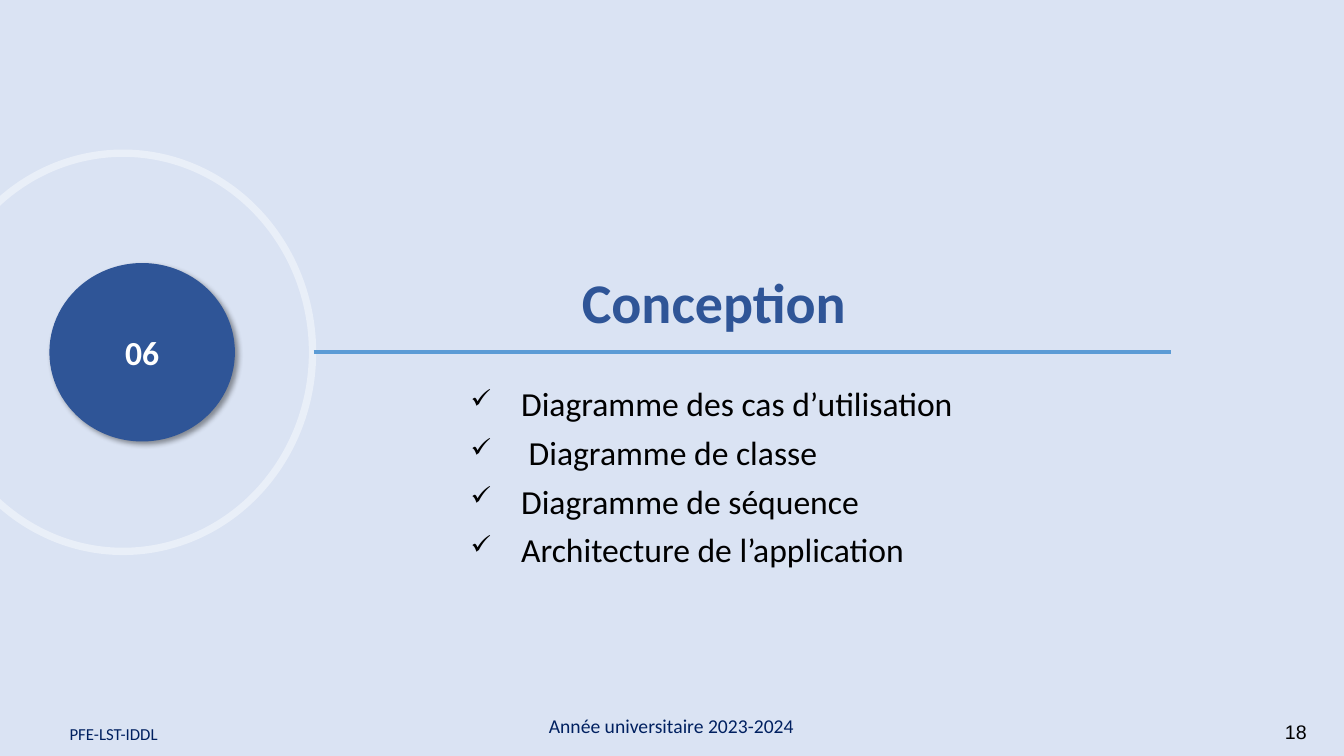
from dataclasses import dataclass

from lxml import etree
from pptx import Presentation
from pptx.dml.color import RGBColor
from pptx.enum.shapes import MSO_CONNECTOR, MSO_SHAPE
from pptx.enum.text import MSO_ANCHOR, PP_ALIGN
from pptx.oxml import parse_xml
from pptx.oxml.ns import nsdecls, qn
from pptx.util import Inches, Pt

OVAL, RECT = MSO_SHAPE.OVAL, MSO_SHAPE.RECTANGLE
TOP, MIDDLE = MSO_ANCHOR.TOP, MSO_ANCHOR.MIDDLE
LEFT, CENTER, RIGHT = PP_ALIGN.LEFT, PP_ALIGN.CENTER, PP_ALIGN.RIGHT
JUSTIFY = PP_ALIGN.JUSTIFY


@dataclass(frozen=True)
class Theme:
    background: RGBColor = RGBColor(0xDA, 0xE3, 0xF3)
    primary: RGBColor = RGBColor(0x2F, 0x55, 0x97)
    rule: RGBColor = RGBColor(0x5B, 0x9B, 0xD5)
    ring: RGBColor = RGBColor(0xE9, 0xEF, 0xF8)
    footer: RGBColor = RGBColor(0x00, 0x20, 0x60)
    black: RGBColor = RGBColor(0, 0, 0)
    white: RGBColor = RGBColor(0xFF, 0xFF, 0xFF)
    font: str = "Calibri"
    number_font: str = "Arial"
    title_size: int = 40
    body_size: int = 24
    footer_size: int = 14
    label_size: int = 12


theme = Theme()


def write(p, text, size, color, align=LEFT, bold=False, font=theme.font):
    """Add one formatted run to a paragraph."""
    p.alignment = align
    r = p.add_run()
    r.text = text
    r.font.name = font
    r.font.size = Pt(size)
    r.font.bold = bold
    r.font.color.rgb = color


def add_text_frame(left, top, width, height, anchor=TOP):
    tf = s.shapes.add_textbox(
        Inches(left), Inches(top), Inches(width), Inches(height)).text_frame
    tf.word_wrap = True
    tf.vertical_anchor = anchor
    return tf


prs = Presentation()
prs.slide_width, prs.slide_height = Inches(13.33), Inches(7.5)
s = prs.slides.add_slide(prs.slide_layouts[5])
s.background.fill.solid()
s.background.fill.fore_color.rgb = theme.background

# Section number
disc = s.shapes.add_shape(OVAL, Inches(0.49), Inches(2.61), Inches(1.84), Inches(1.77))
disc.fill.solid()
disc.fill.fore_color.rgb = theme.primary
disc.line.fill.background()
disc._element.spPr.append(parse_xml(
    f'<a:effectLst {nsdecls("a")}>'
    '<a:outerShdw blurRad="50800" dist="38100" dir="2700000" algn="tl" rotWithShape="0">'
    '<a:srgbClr val="000000"><a:alpha val="40000"/></a:srgbClr>'
    '</a:outerShdw></a:effectLst>'))
disc.text_frame.vertical_anchor = MIDDLE
write(disc.text_frame.paragraphs[0], "06", theme.body_size, theme.white, CENTER, bold=True)

# Title
title = s.shapes.title
title.left, title.top = Inches(5.67), Inches(2.49)
title.width, title.height = Inches(4.86), Inches(1)
title.text_frame.vertical_anchor = MIDDLE
write(title.text_frame.paragraphs[0], "Conception", theme.title_size, theme.primary, bold=True)

# Topics
topics = ["Diagramme des cas d’utilisation", " Diagramme de classe",
          "Diagramme de séquence", "Architecture de l’application"]
tf = add_text_frame(4.57, 3.75, 7.98, 1.97)
for i, topic in enumerate(topics):
    p = tf.add_paragraph() if i else tf.paragraphs[0]
    p.space_after = Pt(6)
    pPr = p._p.get_or_add_pPr()
    pPr.set("marL", str(Inches(0.5)))
    pPr.set("indent", str(Inches(-0.5)))
    etree.SubElement(pPr, qn("a:buSzPct")).set("val", "78000")
    etree.SubElement(pPr, qn("a:buChar")).set("char", "✓")
    write(p, topic, theme.body_size, theme.black, JUSTIFY)

# Ring and rule
ring = s.shapes.add_shape(OVAL, Inches(-0.66), Inches(1.52), Inches(3.76), Inches(3.95))
ring.shadow.inherit = False
ring.fill.background()
ring.line.color.rgb = theme.ring
ring.line.width = Pt(5.25)

rule = s.shapes.add_connector(
    MSO_CONNECTOR.STRAIGHT, Inches(3.11), Inches(3.49), Inches(11.61), Inches(3.49))
rule.line.color.rgb = theme.rule
rule.line.width = Pt(3)
etree.SubElement(rule._element.spPr, qn("a:effectLst"))

# Footer
tf = add_text_frame(10.73, 7.06, 2.33, 0.4, MIDDLE)
write(tf.paragraphs[0], "18", theme.footer_size, theme.black, RIGHT, font=theme.number_font)

band = s.shapes.add_shape(RECT, Inches(0.55), Inches(7.15), Inches(10), Inches(0.27))
band.shadow.inherit = False
band.fill.solid()
band.fill.fore_color.rgb = theme.background
band.line.fill.background()
band.text_frame.margin_left = Inches(0.14)
band.text_frame.vertical_anchor = MIDDLE
write(band.text_frame.paragraphs[0], "PFE-LST-IDDL", theme.label_size, theme.footer)

tf = add_text_frame(3.33, 7.03, 6.66, 0.34)
write(tf.paragraphs[0], "Année universitaire 2023-2024", theme.footer_size, theme.footer, CENTER)

prs.save("out.pptx")
